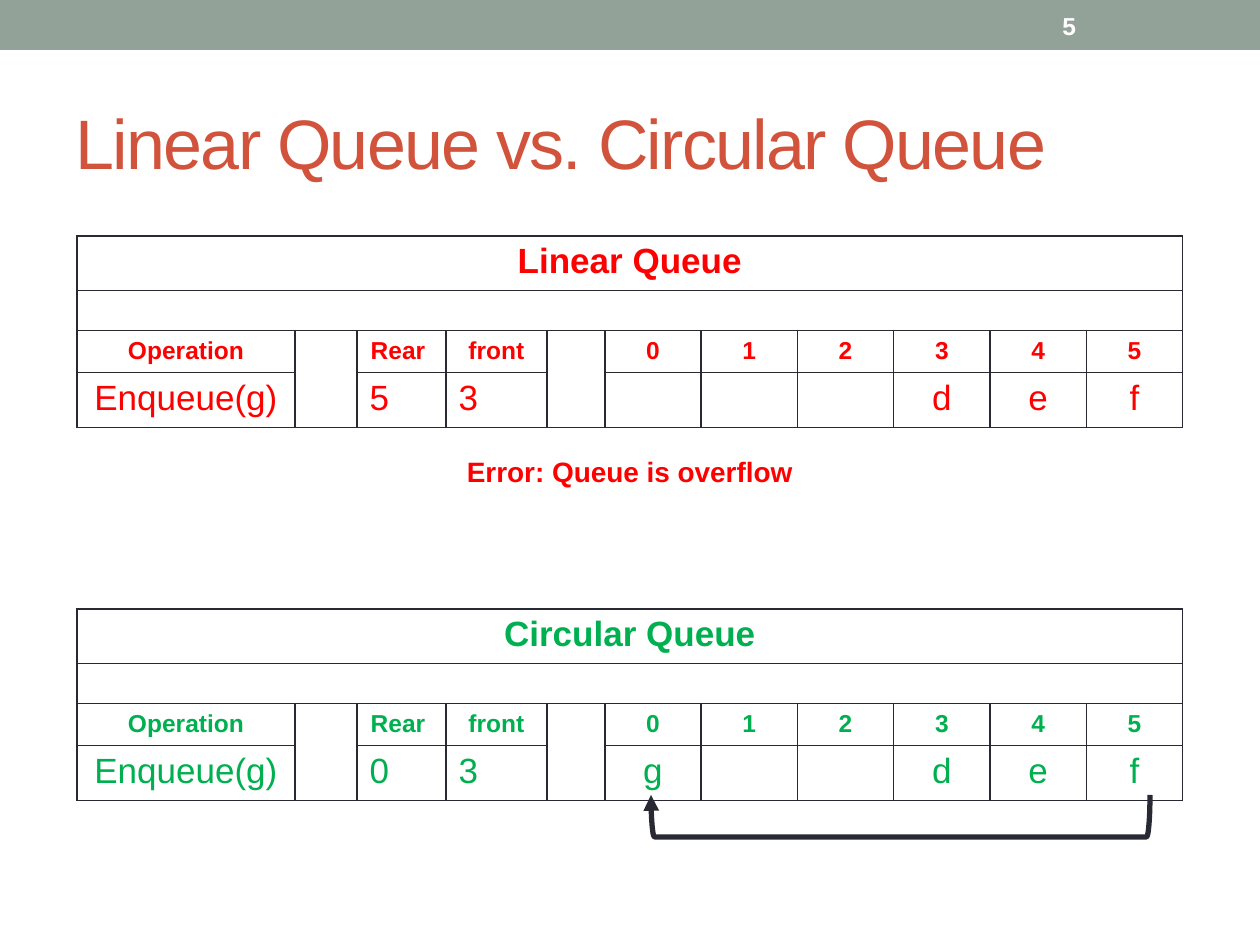
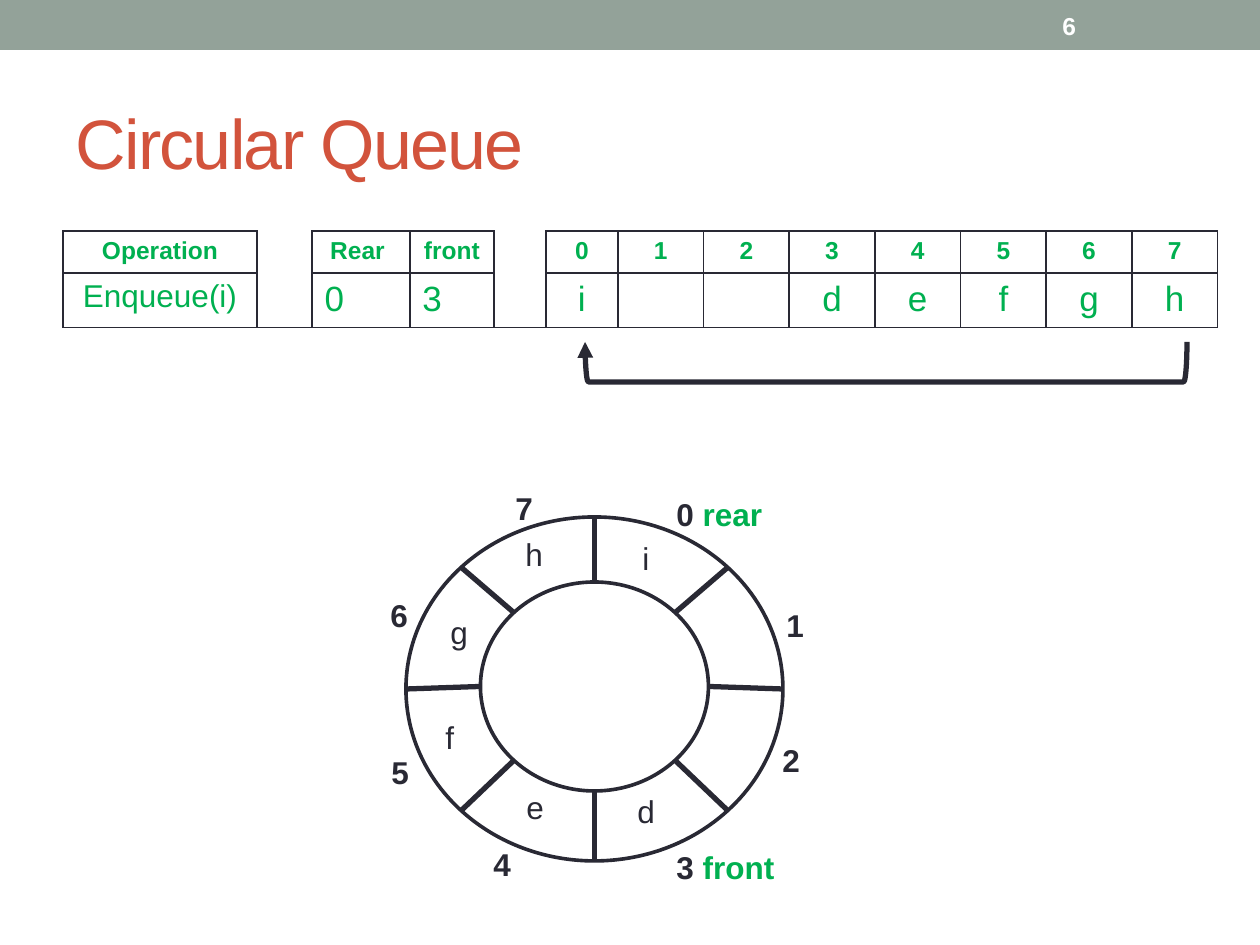
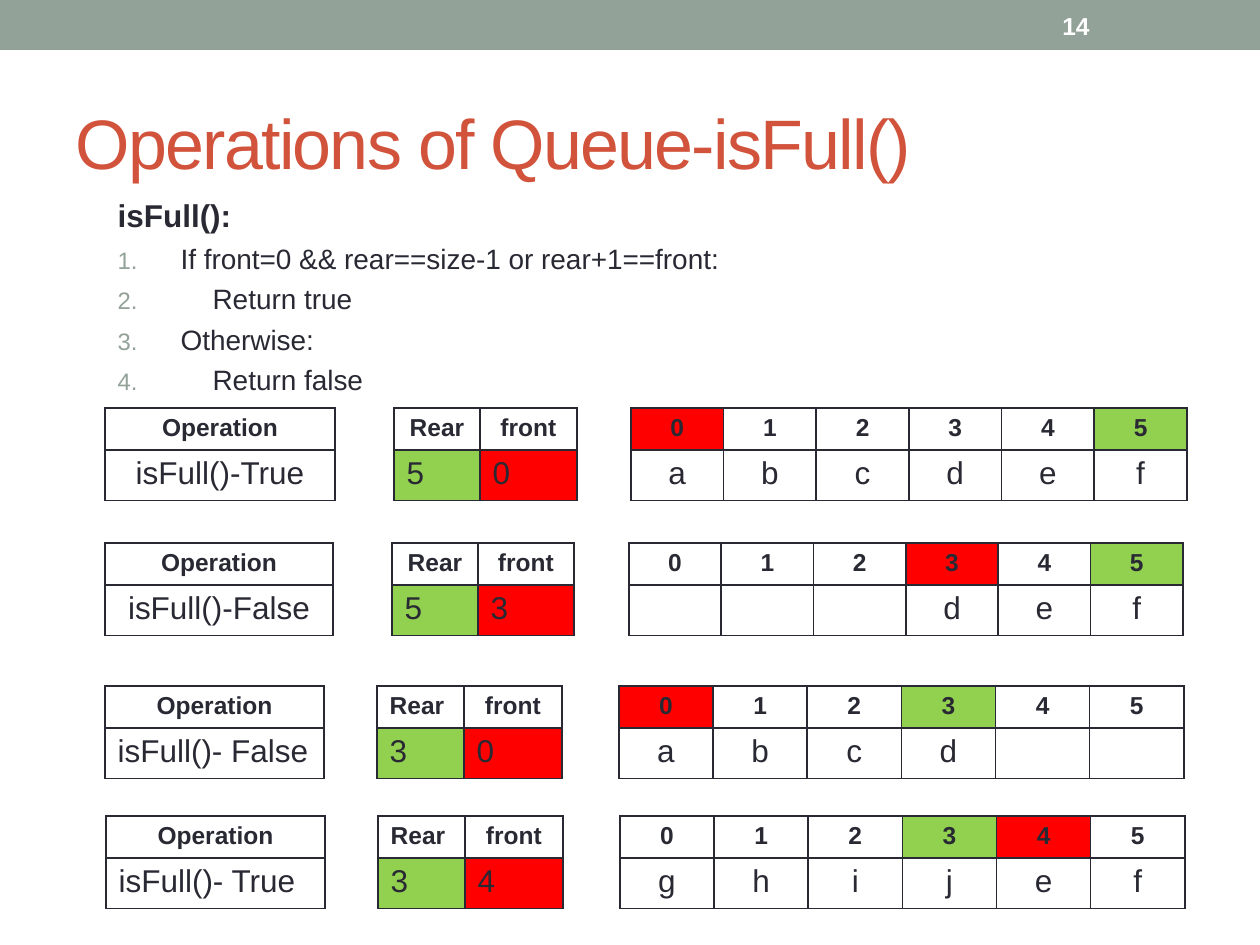
from math import cos, sin, pi
from lxml.etree import SubElement
from pptx import Presentation
from pptx.dml.color import RGBColor
from pptx.enum.shapes import MSO_CONNECTOR as CONN, MSO_SHAPE as SHAPE
from pptx.enum.text import MSO_ANCHOR as ANCHOR, MSO_AUTO_SIZE as AUTO, PP_ALIGN as ALIGN
from pptx.oxml.ns import qn
from pptx.util import Emu, Pt

SCALE = 914400 // 126  # EMU in one pixel
FONT = "Arial"
C = {"band": "93A299", "title": "D2533C", "ink": "292934", "white": "FFFFFF",
     "red": "FF0000", "green": "00B050", "lime": "92D050"}
NO_GRID = "{2D5ABB26-0587-4C30-8999-92F81FD0307C}"
HEAD_H, SPAN, GAPS = 40, 11, (1, 4)  # header row, merged columns, empty columns


def px(v):
    return Emu(round(v * SCALE))


def box(*v):
    return [px(n) for n in v]


def rgb(name):
    return RGBColor.from_string(C[name])


def write(p, text, size, color="ink", bold=False):
    r = p.add_run()
    r.text = text
    for key, val in {"name": FONT, "size": Pt(size), "bold": bold}.items():
        setattr(r.font, key, val)
    r.font.color.rgb = rgb(color)
    return r


def outline(sp, width):
    sp.line.color.rgb = rgb("ink")
    sp.line.width = Pt(width)


def hollow(shapes, kind, at, width):
    sp = shapes.add_shape(kind, *box(*at))
    sp.shadow.inherit = False
    sp.fill.background()
    outline(sp, width)
    return sp


def label(shapes, at, runs, anchor=ANCHOR.TOP):
    tf = shapes.add_textbox(*box(*at)).text_frame
    tf.word_wrap = True
    tf.vertical_anchor = anchor
    for run in runs:
        write(tf.paragraphs[0], *run)


def base_slide(prs, layout, title, number):
    s = prs.slides.add_slide(prs.slide_layouts[layout])
    # Top band and page number
    band = s.shapes.add_shape(SHAPE.RECTANGLE, *box(0, 0, 1260, 50))
    band.shadow.inherit = False
    band.fill.solid()
    band.fill.fore_color.rgb = rgb("band")
    band.line.fill.background()
    label(s.shapes, (1050, 3, 147, 45), [(number, 14, "white", True)], ANCHOR.MIDDLE)
    # Title
    sp = s.shapes.title
    sp.left, sp.top, sp.width, sp.height = box(63, 73, 1134, 136)
    tf = sp.text_frame
    for key, val in {"auto_size": AUTO.NONE, "word_wrap": True,
                     "vertical_anchor": ANCHOR.MIDDLE}.items():
        setattr(tf, key, val)
    p = tf.paragraphs[0]
    p.alignment = ALIGN.LEFT
    write(p, title, 40, "title").font._element.set("spc", "-100")
    return s


def set_cell(cell, text="", size=12, color="ink", bold=False,
             align=ALIGN.CENTER, sides="LRTB", fill=None):
    tcPr = cell._tc.get_or_add_tcPr()
    for side in sides:
        ln = SubElement(tcPr, qn("a:ln" + side), w="12700")
        SubElement(SubElement(ln, qn("a:solidFill")), qn("a:srgbClr"), val=C["ink"])
    if fill:
        cell.fill.solid()
        cell.fill.fore_color.rgb = rgb(fill)
    else:
        cell.fill.background()
    p = cell.text_frame.paragraphs[0]
    p.alignment = align
    if text:
        write(p, text, size, color, bold)
    else:
        p._p.get_or_add_endParaRPr().set("sz", str(size * 100))


def queue_table(s, x, y, w, lead, op, rear, front, items, color="ink", size=18, op_size=18,
                value_h=48, head="", foot=0, note="", marks=False, op_align=ALIGN.CENTER):
    """lead: widths of the first columns; the other columns share the rest evenly."""
    heights = ([52, HEAD_H] if head else []) + [HEAD_H, value_h] + ([foot] if foot else [])
    n = len(items)
    cols = 5 + n
    gf = s.shapes.add_table(len(heights), cols, *box(x, y, w, sum(heights)))
    t = gf.table
    t.first_row = t.horz_banding = False
    t._tbl.tblPr.find(qn("a:tableStyleId")).text = NO_GRID
    rest = (w - sum(lead)) / (cols - len(lead))
    for i, col in enumerate(t.columns):
        col.width = px(lead[i] if i < len(lead) else rest)
    for row, h in zip(t.rows, heights):
        row.height = px(h)

    # Heading rows
    top = 0
    if head:
        top = 2
        for r in range(top):
            t.cell(r, 0).merge(t.cell(r, SPAN - 1))
        set_cell(t.cell(0, 0), head, 20, color, True)
        set_cell(t.cell(1, 0), sides="LRT")

    # Header and value rows
    names = ["Operation", "", "Rear ", "front", ""] + [str(i) for i in range(n)]
    values = [op, "", str(rear), str(front), ""] + [c.strip() for c in items]
    name_fill = {5 + rear: "lime", 5 + front: "red"} if marks else {}
    value_fill = {2: "lime", 3: "red"} if marks else {}
    for i in range(cols):
        gap = i in GAPS
        set_cell(t.cell(top, i), names[i], 14, color, True,
                 sides="LR" if gap else "LRTB", fill=name_fill.get(i))
        align = op_align if i == 0 else ALIGN.LEFT if i in (2, 3) else ALIGN.CENTER
        set_cell(t.cell(top + 1, i), values[i], size if i else op_size, color, align=align,
                 sides=("LRB" if foot else "LR") if gap else "LRTB", fill=value_fill.get(i))

    # Open row under the table
    if foot:
        last = len(heights) - 1
        t.cell(last, 0).merge(t.cell(last, SPAN - 1))
        for i in [0, *range(SPAN, cols)]:
            set_cell(t.cell(last, i), "" if i else note, 16, color, True, sides="T")
        cell = t.cell(last, 0)
        cell.vertical_anchor = ANCHOR.MIDDLE
        cell.margin_top = px(16)


def wrap_arrow(s, x, y, w, h):
    """Bracket turned a quarter, pointing from the last slot back to the first."""
    at = (x + (w - h) / 2, y + (h - w) / 2, h, w)
    sp = hollow(s.shapes, SHAPE.RIGHT_BRACKET, at, 3)
    sp.rotation = 90
    SubElement(sp.line._get_or_add_ln(), qn("a:tailEnd"), type="triangle")


def ring(s, x, y, w, h):
    g = s.shapes.add_group_shape().shapes
    iw, ih = 228, 209
    ix, iy = x + (w - iw) / 2, y + 65
    hollow(g, SHAPE.OVAL, (x, y, w, h), 2.08)
    hollow(g, SHAPE.OVAL, (ix, iy, iw, ih), 2.08)
    # Spokes at every eighth of a turn
    for k in range(8):
        a, b = (1 + sin(k * pi / 4)) / 2, (1 - cos(k * pi / 4)) / 2
        ln = g.add_connector(CONN.STRAIGHT, *box(x + w * a, y + h * b, ix + iw * a, iy + ih * b))
        outline(ln, 3)
        SubElement(ln._element.spPr, qn("a:effectLst"))
    # Slot numbers
    spots = [(258, -28), (368, 83), (364, 218), (258, 325),
             (75, 322), (-27, 230), (-28, 73), (97, -34)]
    roles = {0: ("rear", 118), 3: ("front", 146)}
    for k, (dx, dy) in enumerate(spots):
        role, lw = roles.get(k, ("", 64))
        runs = [(f"{k} " if role else str(k), 18, "ink", True)]
        if role:
            runs.append((role, 18, "green", True))
        label(g, (x + dx, y + dy, lw, 47), runs)
    # Stored items
    spots = [(219, 269), (108, 265), (27, 195), (32, 90), (107, 12), (224, 16)]
    for item, (dx, dy) in zip("defghi", spots):
        label(g, (x + dx, y + dy, 45, 50), [(item, 18)])


def steps(s, x, y, w, h, heading, lines):
    sp = s.placeholders[1]
    sp.left, sp.top, sp.width, sp.height = box(x, y, w, h)
    tf = sp.text_frame
    tf.auto_size = AUTO.NONE
    p = tf.paragraphs[0]
    p.space_before = Pt(2)
    write(p, heading, 18, bold=True)
    pPr = p._p.get_or_add_pPr()
    pPr.set("marL", "0")
    pPr.set("indent", "0")
    SubElement(pPr, qn("a:buNone"))
    for text, indent in lines:
        p = tf.add_paragraph()
        p.space_before = Pt(4)
        write(p, text, 16)
        pPr = p._p.get_or_add_pPr()
        pPr.set("marL", str(px(indent)))
        pPr.set("indent", str(-px(indent)))
        SubElement(SubElement(pPr, qn("a:buClr")), qn("a:srgbClr"), val=C["band"])
        SubElement(pPr, qn("a:buSzPct"), val="85000")
        SubElement(pPr, qn("a:buFont"), typeface="+mj-lt")
        SubElement(pPr, qn("a:buAutoNum"), type="arabicPeriod")


prs = Presentation()
prs.slide_width, prs.slide_height = box(1260, 945)

# Linear and circular queue compared
s = base_slide(prs, 5, "Linear Queue vs. Circular Queue", "5")
lead = [218, 62, 89, 101, 58]
fmt = {"size": 20, "op_size": 20, "value_h": 52}
queue_table(s, 77, 236, 1106, lead, "Enqueue(g)", 5, 3, "   def", "red",
            head="Linear Queue", foot=81, note="Error: Queue is overflow", **fmt)
queue_table(s, 77, 609, 1106, lead, "Enqueue(g)", 0, 3, "g  def", "green",
            head="Circular Queue", foot=57, **fmt)
wrap_arrow(s, 651, 795, 499, 42)

# Circular queue as a ring
s = base_slide(prs, 5, "Circular Queue", "6")
queue_table(s, 63, 231, 1155, [194, 55, 98, 84, 52, 72], "Enqueue(i)", 0, 3, "i  defgh",
            "green", size=20, value_h=52, foot=137)
wrap_arrow(s, 585, 342, 602, 40)
ring(s, 406, 517, 377, 344)

# isFull() with four cases
s = base_slide(prs, 1, "Operations of Queue-isFull()", "14")
steps(s, 105, 190, 1134, 672, "isFull():",
      [("If front=0 && rear==size-1 or rear+1==front:", 63), ("Return true", 95),
       ("Otherwise:", 63), ("Return false", 95)])
narrow = [219, 53, 87, 98, 57]
for x, y, w, lead, op, rear, front, items, align in [
        (105, 408, 1082, [230, 59, 86, 97, 54], "isFull()-True", 5, 0, "abcdef", ALIGN.CENTER),
        (105, 543, 1078, [228, 59, 86, 96, 55], "isFull()-False", 5, 3, "   def", ALIGN.CENTER),
        (105, 686, 1079, narrow, "isFull()- False", 3, 0, "abcd  ", ALIGN.LEFT),
        (106, 816, 1079, narrow, "isFull()- True", 3, 4, "ghijef", ALIGN.LEFT)]:
    queue_table(s, x, y, w, lead, op, rear, front, items, marks=True, op_align=align)

# Unused date, footer and number placeholders
for s in prs.slides:
    for sp in list(s.placeholders):
        if not sp.text_frame.text:
            sp._element.getparent().remove(sp._element)

prs.save("out.pptx")
